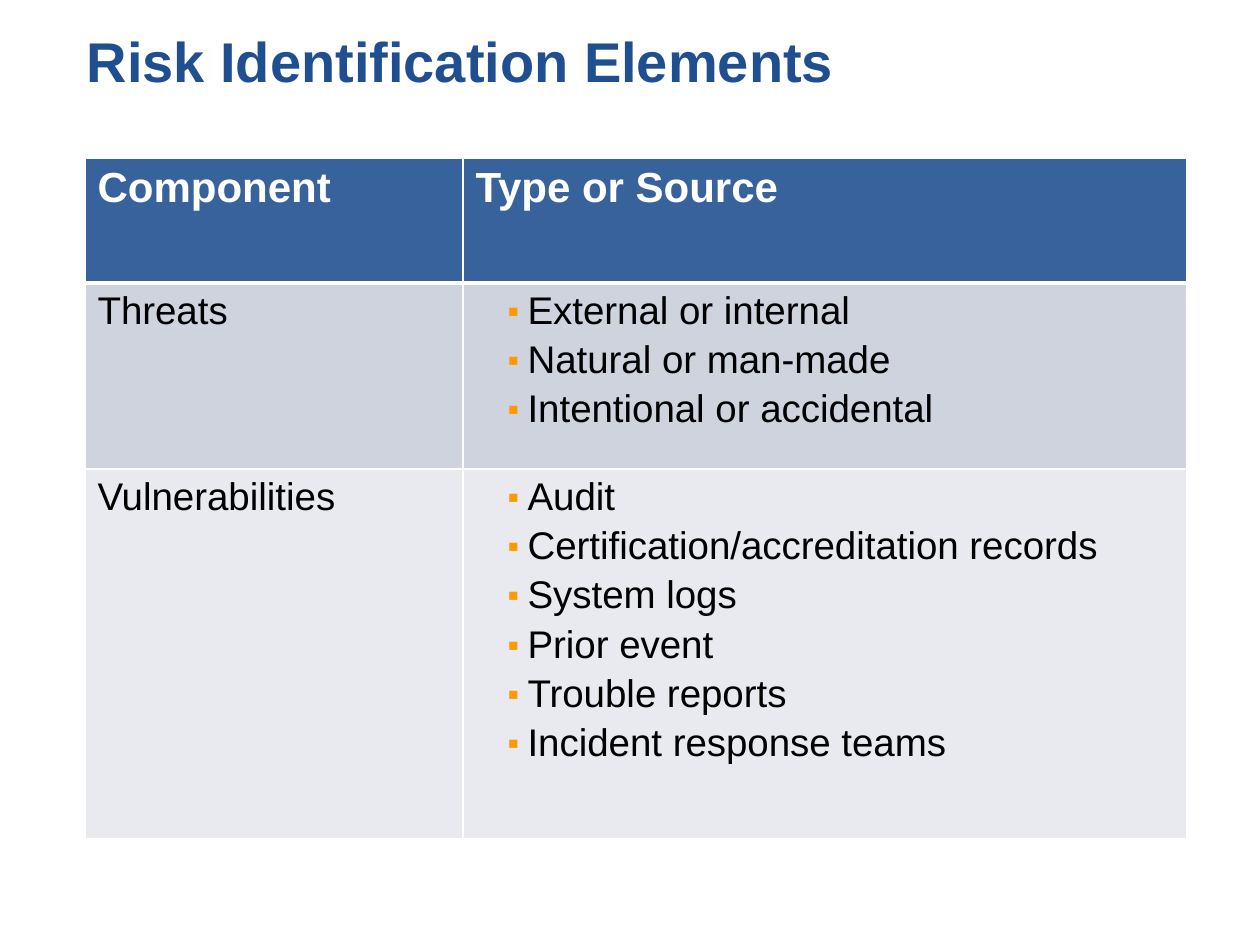
from lxml import etree
from pptx import Presentation
from pptx.dml.color import RGBColor
from pptx.enum.text import MSO_ANCHOR, PP_ALIGN
from pptx.oxml.ns import qn
from pptx.util import Emu, Pt

EMU_PER_PX = 914400 / 126
TITLE_ONLY = 5
LEFT, BOTTOM = PP_ALIGN.LEFT, MSO_ANCHOR.BOTTOM

TITLE_BLUE = RGBColor(0x20, 0x4F, 0x91)
HEADER_BLUE = RGBColor(0x38, 0x62, 0x9C)
BAND_DARK = RGBColor(0xCE, 0xD3, 0xDE)
BAND_LIGHT = RGBColor(0xE8, 0xEA, 0xEF)
ORANGE = RGBColor(0xFE, 0x99, 0x01)
WHITE = RGBColor(0xFF, 0xFF, 0xFF)
BLACK = RGBColor(0, 0, 0)

COLUMNS = [378, 724]
ROW_HEIGHTS = [125, 186, 370]
HEADINGS = ["Component", "Type or Source"]
COMPONENTS = [
    ("Threats", BAND_DARK,
     ["External or internal", "Natural or man-made", "Intentional or accidental"]),
    ("Vulnerabilities", BAND_LIGHT,
     ["Audit", "Certification/accreditation records", "System logs",
      "Prior event", "Trouble reports", "Incident response teams"]),
]


def px(length):
    return Emu(round(length * EMU_PER_PX))


def add_colour(parent, colour):
    etree.SubElement(parent, qn("a:srgbClr"), val=str(colour))


class SlideBuilder:
    """Holds the text style and the page being built."""

    font_name = "Arial"
    heading_size, body_size, title_size = 24, 22, 32

    def __init__(self, page):
        self.page = page

    def style(self, para, size, colour, bold=False):
        font = para.font
        font.name, font.size, font.bold = self.font_name, Pt(size), bold
        font.color.rgb = colour

    def title(self, text, left, top, width, height):
        box = self.page.shapes.title
        box.left, box.top, box.width, box.height = map(px, (left, top, width, height))
        frame = box.text_frame
        frame.text = text
        frame.vertical_anchor = BOTTOM
        para = frame.paragraphs[0]
        para.alignment = LEFT
        self.style(para, self.title_size, TITLE_BLUE, bold=True)

    def table(self, left, top, columns, rows):
        frame = self.page.shapes.add_table(
            len(rows), len(columns), px(left), px(top), px(sum(columns)), px(sum(rows)))
        table = frame.table
        for column, width in zip(table.columns, columns):
            column.width = px(width)
        for row, height in zip(table.rows, rows):
            row.height = px(height)
        return table

    def cell(self, cell, lines, fill, size, colour, bold=False, bullets=False,
             top_line=1, bottom_line=1):
        cell.fill.solid()
        cell.fill.fore_color.rgb = fill
        self.borders(cell, top_line, bottom_line)
        frame = cell.text_frame
        frame.text = "\n".join(lines)
        for index, para in enumerate(frame.paragraphs):
            if bullets:
                self.bullet(para)
                if index:
                    para.space_before = Pt(3.6)
            self.style(para, size, colour, bold)

    def borders(self, cell, top_line, bottom_line):
        """Draw white edges; they must stand before the fill in the cell's XML."""
        properties = cell._tc.get_or_add_tcPr()
        widths = {"a:lnL": 1, "a:lnR": 1, "a:lnT": top_line, "a:lnB": bottom_line}
        for index, (tag, width) in enumerate(widths.items()):
            line = etree.Element(qn(tag), w=str(Pt(width)))
            add_colour(etree.SubElement(line, qn("a:solidFill")), WHITE)
            properties.insert(index, line)

    def bullet(self, para):
        para.level = 1
        properties = para._p.get_or_add_pPr()
        properties.set("marL", str(px(52)))
        properties.set("indent", str(px(-20)))
        add_colour(etree.SubElement(properties, qn("a:buClr")), ORANGE)
        etree.SubElement(properties, qn("a:buSzPct"), val="85000")
        etree.SubElement(properties, qn("a:buFont"), typeface=self.font_name)
        etree.SubElement(properties, qn("a:buChar"), char="▪")


def main():
    deck = Presentation()
    deck.slide_width, deck.slide_height = px(1260), px(945)
    builder = SlideBuilder(deck.slides.add_slide(deck.slide_layouts[TITLE_ONLY]))

    builder.title("Risk Identification Elements", 74, 19, 997, 81)
    table = builder.table(85, 158, COLUMNS, ROW_HEIGHTS)
    for column, heading in enumerate(HEADINGS):
        builder.cell(table.cell(0, column), [heading], HEADER_BLUE,
                     builder.heading_size, WHITE, bold=True, bottom_line=3)
    for row, (component, fill, sources) in enumerate(COMPONENTS, start=1):
        top_line = 3 if row == 1 else 1
        for column, lines in enumerate([[component], sources]):
            builder.cell(table.cell(row, column), lines, fill, builder.body_size,
                         BLACK, bullets=column == 1, top_line=top_line)

    deck.save("out.pptx")


if __name__ == "__main__":
    main()
